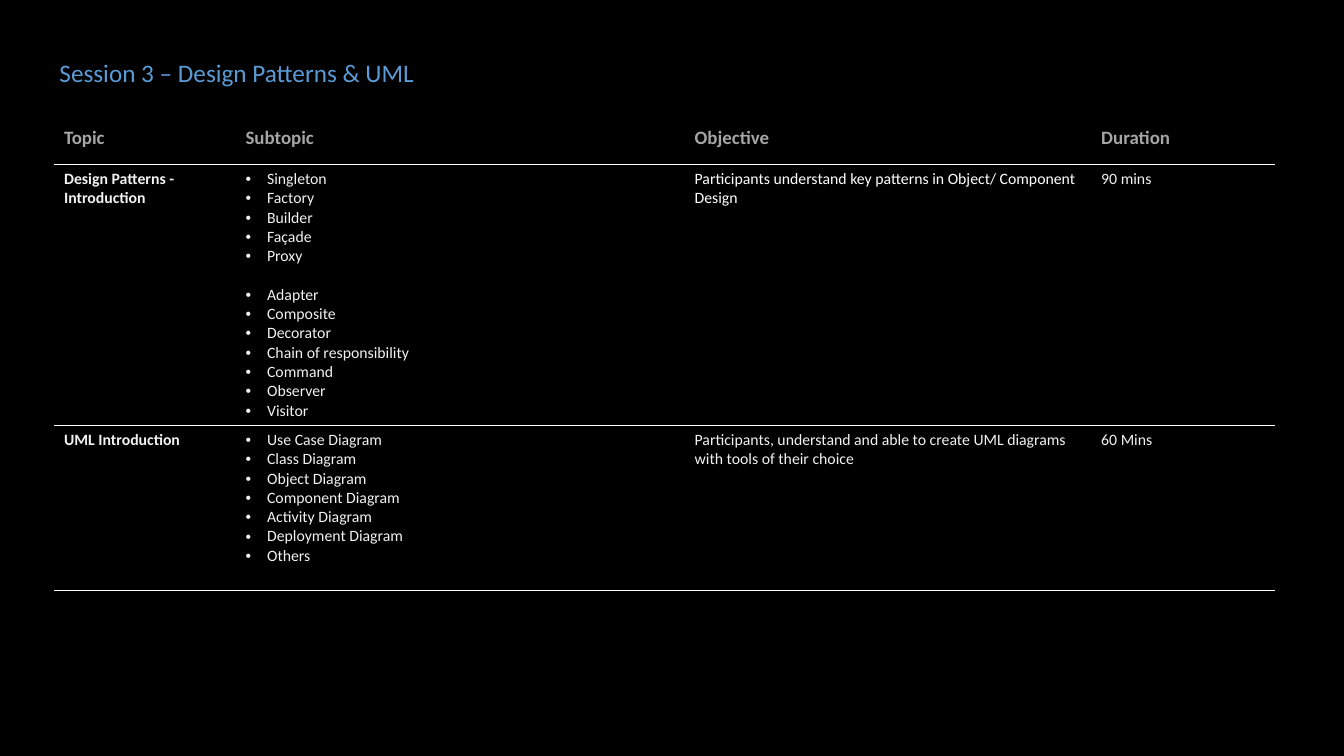
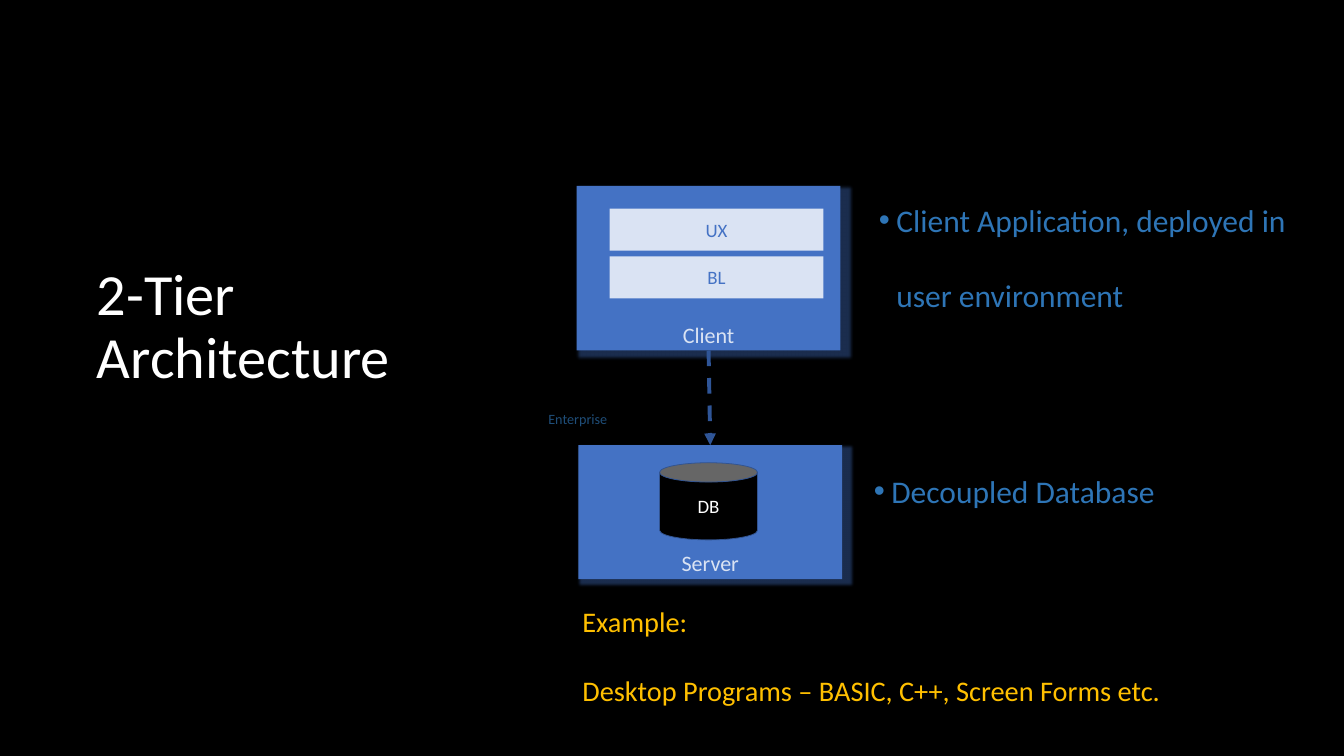
from lxml.etree import SubElement
from pptx import Presentation
from pptx.dml.color import RGBColor
from pptx.enum.dml import MSO_LINE_DASH_STYLE as Dash
from pptx.enum.shapes import MSO_CONNECTOR as Connector, MSO_SHAPE as Shape
from pptx.enum.text import MSO_ANCHOR as Anchor, PP_ALIGN as Align
from pptx.oxml.ns import qn
from pptx.util import Inches, Pt

FONT = "Calibri"
BLACK, WHITE, OFF_WHITE = "000000", "FFFFFF", "F2F2F2"
BLUE, PALE_BLUE, NOTE_BLUE = "4472C4", "DAE3F3", "2E75B6"

HEADINGS = ("Topic", "Subtopic", "Objective", "Duration")
COLUMN_WIDTHS = (3.2, 7.92, 7.17, 3.25)
ROW_HEIGHTS = (0.92, 4.6, 2.9)
PATTERNS = ("Singleton", "Factory", "Builder", "Façade", "Proxy", "Adapter", "Composite",
            "Decorator", "Chain of responsibility", "Command", "Observer", "Visitor")
DIAGRAMS = ("Use Case Diagram", "Class Diagram", "Object Diagram", "Component Diagram",
            "Activity Diagram", "Deployment Diagram", "Others")
SESSION_ROWS = (
    ("Design Patterns - Introduction", PATTERNS,
     "Participants understand key patterns in Object/ Component Design", "90 mins"),
    ("UML Introduction", DIAGRAMS,
     "Participants, understand and able to create UML diagrams with tools of their choice",
     "60 Mins"),
)


def colour(hex_code):
    """Turn a hex string into a colour."""
    return RGBColor.from_string(hex_code)


def add_xml(parent, tag, **attributes):
    """Append a DrawingML element to a parent and return it."""
    return SubElement(parent, qn(tag), attributes)


def write_text(frame, text, size, tint, bold=False, align=Align.LEFT, spacing=None,
               after=None, indent=None, gaps=None):
    """Fill a text frame with one paragraph per item of text."""
    lines = (text,) if isinstance(text, str) else text
    for index, line in enumerate(lines):
        paragraph = frame.add_paragraph() if index else frame.paragraphs[0]
        paragraph.alignment = align
        if spacing:
            paragraph.line_spacing = spacing
        if after:
            paragraph.space_after = Pt(after)
        if gaps and index in gaps:
            paragraph.space_before = Pt(gaps[index])
        if indent:
            properties = paragraph._p.get_or_add_pPr()
            properties.set("marL", str(Inches(indent)))
            properties.set("indent", str(-Inches(indent)))
            add_xml(properties, "a:buFont", typeface="Arial")
            add_xml(properties, "a:buChar", char="•")
        run = paragraph.add_run()
        run.text = line
        run.font.name, run.font.size, run.font.bold = FONT, Pt(size), bold
        run.font.color.rgb = colour(tint)


def add_text(slide, place, text, anchor=Anchor.TOP, **style):
    """Add a wrapping text box."""
    frame = slide.shapes.add_textbox(*map(Inches, place)).text_frame
    frame.word_wrap = True
    frame.vertical_anchor = anchor
    write_text(frame, text, **style)


def add_box(slide, place, label, fill, kind=Shape.RECTANGLE, outline=None,
            anchor=Anchor.MIDDLE, **style):
    """Add a filled shape with a centred label."""
    box = slide.shapes.add_shape(kind, *map(Inches, place))
    box.shadow.inherit = False
    box.fill.solid()
    box.fill.fore_color.rgb = colour(fill)
    if outline:
        box.line.color.rgb = colour(outline)
        box.line.width = Pt(1)
    else:
        box.line.fill.background()
    box.text_frame.word_wrap = True
    box.text_frame.vertical_anchor = anchor
    write_text(box.text_frame, label, align=Align.CENTER, **style)
    return box


def add_tier(slide, place, label):
    """Add a tier panel with a soft shadow."""
    tier = add_box(slide, place, label, BLUE, anchor=Anchor.BOTTOM, size=28, tint=PALE_BLUE)
    effects = tier._element.spPr.find(qn("a:effectLst"))
    shadow = add_xml(effects, "a:outerShdw", blurRad=str(Pt(4)), dist=str(Pt(3)),
                     dir="2700000", sx="103000", sy="103000", algn="tl", rotWithShape="0")
    add_xml(add_xml(shadow, "a:srgbClr", val=BLUE), "a:alpha", val="40000")
    return tier


def add_dashed_arrow(slide, upper, lower):
    """Join the bottom of one panel to the top of another."""
    arrow = slide.shapes.add_connector(Connector.STRAIGHT, 0, 0, 0, 0)
    arrow.begin_connect(upper, 2)
    arrow.end_connect(lower, 0)
    arrow.line.color.rgb = colour("2F5597")
    arrow.line.width = Pt(5)
    arrow.line.dash_style = Dash.DASH
    add_xml(arrow.line._get_or_add_ln(), "a:tailEnd", type="triangle")
    add_xml(arrow._element.spPr, "a:effectLst")


def rule_cell(cell, ruled_sides):
    """Draw white rules on the given sides and clear the others."""
    properties = cell._tc.get_or_add_tcPr()
    for side in "LRTB":
        border = add_xml(properties, f"a:ln{side}", w=str(Pt(1)))
        if side in ruled_sides:
            add_xml(add_xml(border, "a:solidFill"), "a:srgbClr", val=WHITE)
        else:
            add_xml(border, "a:noFill")
    cell.fill.background()


def add_schedule(slide, left, top):
    """Add the session table."""
    rows = (HEADINGS, *SESSION_ROWS)
    size = map(Inches, (left, top, sum(COLUMN_WIDTHS), sum(ROW_HEIGHTS)))
    schedule = slide.shapes.add_table(len(rows), len(HEADINGS), *size).table
    schedule.first_row = schedule.horz_banding = False
    for column, width in zip(schedule.columns, COLUMN_WIDTHS):
        column.width = Inches(width)
    for r, entries in enumerate(rows):
        schedule.rows[r].height = Inches(ROW_HEIGHTS[r])
        for c, entry in enumerate(entries):
            cell = schedule.cell(r, c)
            cell.margin_left = cell.margin_right = Inches(0.18)
            cell.margin_top = cell.margin_bottom = Inches(0.09)
            rule_cell(cell, "TB" if r else "B")
            if r == 0:
                cell.vertical_anchor = Anchor.MIDDLE
                write_text(cell.text_frame, entry, size=24, tint="A6A6A6", bold=True)
            else:
                write_text(cell.text_frame, entry, size=20, bold=c == 0,
                           tint=WHITE if (r, c) == (1, 2) else OFF_WHITE,
                           indent=0.38 if c == 1 else None,
                           gaps={5: 24.4} if entry is PATTERNS else None)


def add_black_slide(deck):
    """Add a blank slide with a black background."""
    slide = deck.slides.add_slide(deck.slide_layouts[6])
    slide.background.fill.solid()
    slide.background.fill.fore_color.rgb = colour(BLACK)
    return slide


def build_session(deck):
    """Build the session plan slide."""
    slide = add_black_slide(deck)
    add_schedule(slide, 0.95, 1.98)
    add_text(slide, (0.95, 0.96, 7, 0.64), "Session 3 – Design Patterns & UML",
             size=32, tint="5A9BD6")


def build_architecture(deck):
    """Build the two-tier architecture slide."""
    slide = add_black_slide(deck)
    add_text(slide, (1.61, 2.31, 6.43, 4.64), "2-Tier Architecture", anchor=Anchor.BOTTOM,
             size=74, tint=WHITE, spacing=0.9, after=6)
    client = add_tier(slide, (10.17, 3.28, 4.65, 2.9), "Client")
    for index, layer in enumerate(("UX", "BL")):
        add_box(slide, (10.75, 3.68 + 0.84 * index, 3.77, 0.74), layer, PALE_BLUE,
                size=24, tint=BLUE)
    server = add_tier(slide, (10.2, 7.85, 4.65, 2.36), "Server")
    add_box(slide, (11.63, 8.16, 1.73, 1.36), "DB", BLACK, kind=Shape.CAN,
            outline="325491", size=24, tint=WHITE)
    notes = (((15.31, 7.69, 7.93, 1.26), "Decoupled Database"),
             ((15.4, 2.9, 7.93, 2.61), "Client Application, deployed in user environment"))
    for place, note in notes:
        add_text(slide, place, note, anchor=Anchor.MIDDLE, size=40, tint=NOTE_BLUE,
                 spacing=2.0, after=6, indent=0.31)
    add_text(slide, (10.17, 10.61, 11.65, 1.92),
             ("Example:", "Desktop Programs – BASIC, C++, Screen Forms etc."),
             size=36, tint="FFC000", gaps={1: 44})
    add_dashed_arrow(slide, client, server)
    add_text(slide, (9.57, 7.18, 2.12, 0.4), "Enterprise", size=18, tint="1F4E79")


def main():
    """Build and save the presentation."""
    deck = Presentation()
    deck.slide_width, deck.slide_height = Inches(23.7), Inches(13.33)
    build_session(deck)
    build_architecture(deck)
    deck.save("out.pptx")


if __name__ == "__main__":
    main()
